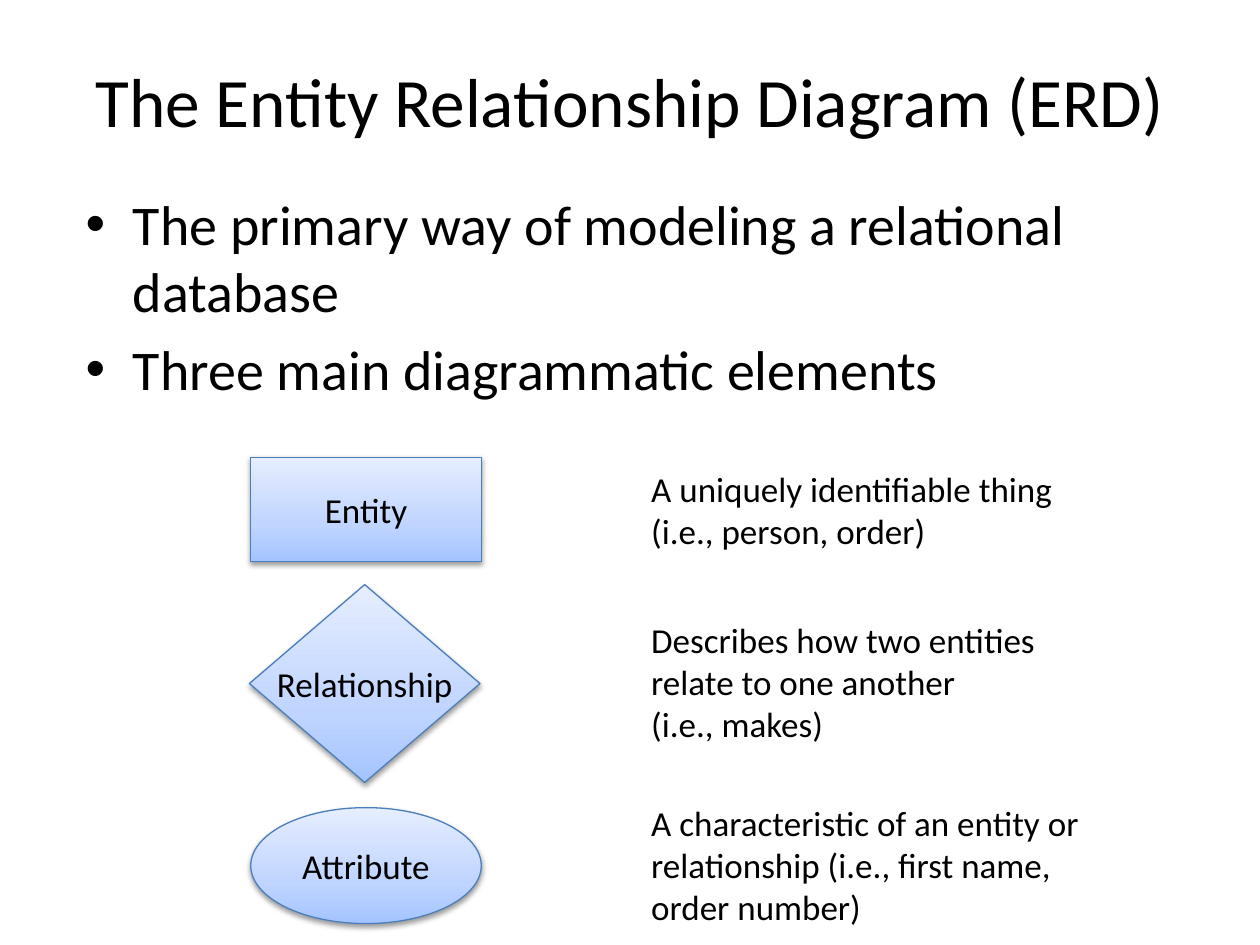
import copy

import pptx
import pptx.dml.color
import pptx.enum.shapes
import pptx.enum.text
import pptx.oxml
import pptx.oxml.ns
import pptx.util

Inches = pptx.util.Inches
Pt = pptx.util.Pt
MSO_SHAPE = pptx.enum.shapes.MSO_SHAPE
PP_ALIGN = pptx.enum.text.PP_ALIGN
MSO_ANCHOR = pptx.enum.text.MSO_ANCHOR
MSO_AUTO_SIZE = pptx.enum.text.MSO_AUTO_SIZE

COLORS = {
    "text": "000000",
    "outline": "4B7EBC",
    "deep": "A4C4FF",
    "middle": "BFD4FF",
    "pale": "E6EEFF",
    "shadow": "000000",
}
GRADIENT = [(0, "deep"), (0.35, "middle"), (1, "pale")]


def rgb(name):
    return pptx.dml.color.RGBColor.from_string(COLORS[name])


def write(frame, text, size=20, align=PP_ALIGN.LEFT, anchor=MSO_ANCHOR.TOP,
          wrap=True, fit=MSO_AUTO_SIZE.NONE):
    frame.text = text
    frame.word_wrap = wrap
    frame.auto_size = fit
    frame.vertical_anchor = anchor
    frame.paragraphs[0].space_before = Pt(0)
    for paragraph in frame.paragraphs:
        paragraph.alignment = align
        for run in paragraph.runs:
            run.font.name = "Calibri"
            run.font.size = Pt(size)
            run.font.color.rgb = rgb("text")


deck = pptx.Presentation()
deck.slide_width, deck.slide_height = Inches(10), Inches(7.5)
slide = deck.slides.add_slide(deck.slide_layouts[1])

heading = slide.shapes.title
heading.left, heading.top = Inches(0.5), Inches(0.17)
heading.width, heading.height = Inches(9), Inches(1.25)
write(heading.text_frame, "The Entity Relationship Diagram (ERD)", size=39.6,
      align=PP_ALIGN.CENTER, anchor=MSO_ANCHOR.MIDDLE)

points = slide.placeholders[1]
points.left, points.top = Inches(0.58), Inches(1.45)
points.width, points.height = Inches(8.08), Inches(4.95)
write(points.text_frame,
      "The primary way of modeling a relational database\n"
      "Three main diagrammatic elements", size=32)

elements = [
    ("Entity", MSO_SHAPE.RECTANGLE, 1.99, 3.63, 0.83, True,
     "A uniquely identifiable thing (i.e., person, order)", 3.66, 0.77),
    ("Relationship", MSO_SHAPE.DIAMOND, 1.98, 4.64, 1.57, False,
     "Describes how two entities relate to one another \v(i.e., makes)", 4.86, 1.11),
    ("Attribute", MSO_SHAPE.OVAL, 1.99, 6.41, 0.92, True,
     "A characteristic of an entity or relationship (i.e., first name, order number)",
     6.31, 1.11),
]

for label, outline, left, top, height, wrap, meaning, meaning_top, meaning_height in elements:
    symbol = slide.shapes.add_shape(outline, Inches(left), Inches(top),
                                    Inches(1.83), Inches(height))
    symbol.fill.gradient()
    symbol.fill.gradient_angle = 90
    stop_list = symbol._element.spPr.xpath(".//a:gsLst")[0]
    stop_list.insert(1, copy.deepcopy(stop_list[0]))
    for stop, (position, shade) in zip(symbol.fill.gradient_stops, GRADIENT):
        stop.position = position
        stop.color.rgb = rgb(shade)
    symbol.line.color.rgb = rgb("outline")
    symbol.line.width = Pt(0.75)
    symbol.shadow.inherit = False
    effects = symbol._element.spPr.find(pptx.oxml.ns.qn("a:effectLst"))
    effects.append(pptx.oxml.parse_xml(
        f'<a:outerShdw {pptx.oxml.ns.nsdecls("a")} blurRad="{Pt(3.1)}" dist="{Pt(1.6)}" '
        f'dir="5400000" rotWithShape="0"><a:srgbClr val="{COLORS["shadow"]}">'
        '<a:alpha val="38000"/></a:srgbClr></a:outerShdw>'))
    write(symbol.text_frame, label, align=PP_ALIGN.CENTER,
          anchor=MSO_ANCHOR.MIDDLE, wrap=wrap)

    description = slide.shapes.add_textbox(Inches(5.07), Inches(meaning_top),
                                           Inches(3.83), Inches(meaning_height))
    write(description.text_frame, meaning, fit=MSO_AUTO_SIZE.SHAPE_TO_FIT_TEXT)

deck.save("out.pptx")
